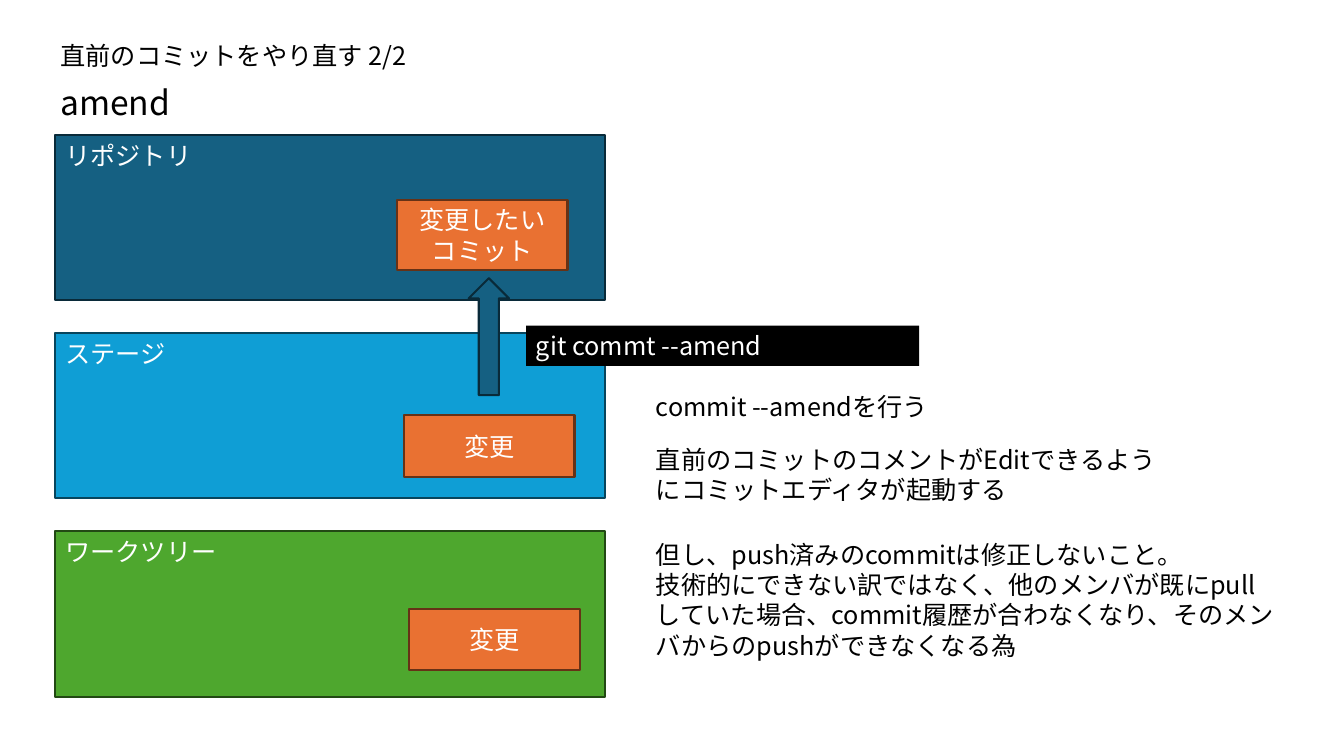
from dataclasses import dataclass
from typing import Optional

import lxml.etree
import pptx
import pptx.dml.color
import pptx.enum.shapes
import pptx.enum.text
import pptx.oxml.ns
import pptx.util

Pt = pptx.util.Pt
RGBColor = pptx.dml.color.RGBColor
Shape = pptx.enum.shapes.MSO_SHAPE
Align = pptx.enum.text.PP_ALIGN
Anchor = pptx.enum.text.MSO_ANCHOR

FONT = "Noto Sans CJK JP"
BLACK = RGBColor(0x00, 0x00, 0x00)
WHITE = RGBColor(0xFF, 0xFF, 0xFF)
NAVY = RGBColor(0x15, 0x60, 0x82)
NAVY_EDGE = RGBColor(0x09, 0x2A, 0x39)
BLUE = RGBColor(0x0F, 0x9E, 0xD5)
BLUE_EDGE = RGBColor(0x07, 0x45, 0x5D)
GREEN = RGBColor(0x4E, 0xA7, 0x2E)
GREEN_EDGE = RGBColor(0x22, 0x49, 0x14)
ORANGE = RGBColor(0xE9, 0x71, 0x32)
ORANGE_EDGE = RGBColor(0x66, 0x32, 0x16)

AREA_LEFT, AREA_TOP, AREA_PITCH = 39.6, 96.5, 141.5
AREA_WIDTH, AREA_HEIGHT = 392.4, 118.1
CHANGE_WIDTH = 121.7
NOTE_LEFT = 461.5


@dataclass
class Block:
    left: float
    top: float
    width: float
    height: float
    paragraphs: tuple[str, ...] = ()
    fill: Optional[RGBColor] = None
    edge: Optional[RGBColor] = None
    centered: bool = False
    kind: Shape = Shape.RECTANGLE


@dataclass
class Note:
    left: float
    top: float
    width: float
    height: float
    paragraphs: tuple[str, ...]
    size: float = 18
    wrap: bool = True


def write_text(shape, paragraphs: tuple[str, ...], color: RGBColor, size: float = 18,
               centered: bool = False, wrap: bool = True) -> None:
    frame = shape.text_frame
    frame.word_wrap = wrap
    frame.auto_size = pptx.enum.text.MSO_AUTO_SIZE.NONE
    frame.vertical_anchor = Anchor.MIDDLE if centered else Anchor.TOP
    for index, text in enumerate(paragraphs):
        paragraph = frame.add_paragraph() if index else frame.paragraphs[0]
        paragraph.alignment = Align.CENTER if centered else Align.LEFT
        run = paragraph.add_run()
        run.text = text
        run.font.size = Pt(size)
        run.font.name = FONT
        run.font.color.rgb = color
        # East Asian glyphs need their own typeface entry
        lxml.etree.SubElement(run.font._element, pptx.oxml.ns.qn("a:ea"), typeface=FONT)


def add_block(slide, block: Block) -> None:
    shape = slide.shapes.add_shape(block.kind, Pt(block.left), Pt(block.top),
                                   Pt(block.width), Pt(block.height))
    shape.shadow.inherit = False
    shape.fill.solid()
    shape.fill.fore_color.rgb = block.fill
    if block.edge is None:
        shape.line.fill.background()
    else:
        shape.line.color.rgb = block.edge
        shape.line.width = Pt(1.5)
    write_text(shape, block.paragraphs, WHITE, centered=block.centered)


def add_note(slide, note: Note) -> None:
    box = slide.shapes.add_textbox(Pt(note.left), Pt(note.top), Pt(note.width), Pt(note.height))
    write_text(box, note.paragraphs, BLACK, note.size, wrap=note.wrap)


def change_box(left: float, top: float, height: float, *paragraphs: str) -> Block:
    return Block(left, top, CHANGE_WIDTH, height, paragraphs, ORANGE, ORANGE_EDGE, centered=True)


AREAS = [
    ("リポジトリ", NAVY, NAVY_EDGE),
    ("ステージ", BLUE, BLUE_EDGE),
    ("ワークツリー", GREEN, GREEN_EDGE),
]

BLOCKS = [
    Block(375.8, 232.6, 280.8, 28.8, ("git commt --amend",), BLACK),
    change_box(283.7, 142.6, 50.4, "変更したい", "コミット"),
    change_box(288.7, 296.6, 43.9, "変更"),
    change_box(292.3, 434.9, 43.9, "変更"),
    Block(334.8, 198.7, 28.8, 83.5, fill=NAVY, edge=NAVY_EDGE, kind=Shape.UP_ARROW),
]

NOTES = [
    Note(36, 54.7, 95.8, 36, ("amend",), size=24, wrap=False),
    Note(NOTE_LEFT, 275.8, 377.3, 28.8, ("commit --amendを行う",)),
    Note(NOTE_LEFT, 313.9, 377.3, 51.1,
         ("直前のコミットのコメントがEditできるようにコミットエディタが起動する",)),
    Note(NOTE_LEFT, 381.6, 458.6, 94.3, (
        "但し、push済みのcommitは修正しないこと。",
        "技術的にできない訳ではなく、他のメンバが既にpullしていた場合、"
        "commit履歴が合わなくなり、そのメンバからのpushができなくなる為",
    )),
]


def main() -> None:
    presentation = pptx.Presentation()
    presentation.slide_width, presentation.slide_height = Pt(960), Pt(540)
    slide = presentation.slides.add_slide(presentation.slide_layouts[5])

    # Title
    title = slide.shapes.title
    title.left, title.top, title.width, title.height = Pt(36), Pt(25.2), Pt(303.1), Pt(28.8)
    write_text(title, ("直前のコミットをやり直す 2/2",), BLACK)

    # Git areas, stacked at an equal pitch
    for row, (name, fill, edge) in enumerate(AREAS):
        add_block(slide, Block(AREA_LEFT, AREA_TOP + row * AREA_PITCH,
                               AREA_WIDTH, AREA_HEIGHT, (name,), fill, edge))

    # Command, changes and arrow
    for block in BLOCKS:
        add_block(slide, block)

    # Subtitle and explanations
    for note in NOTES:
        add_note(slide, note)

    presentation.save("out.pptx")


if __name__ == "__main__":
    main()
